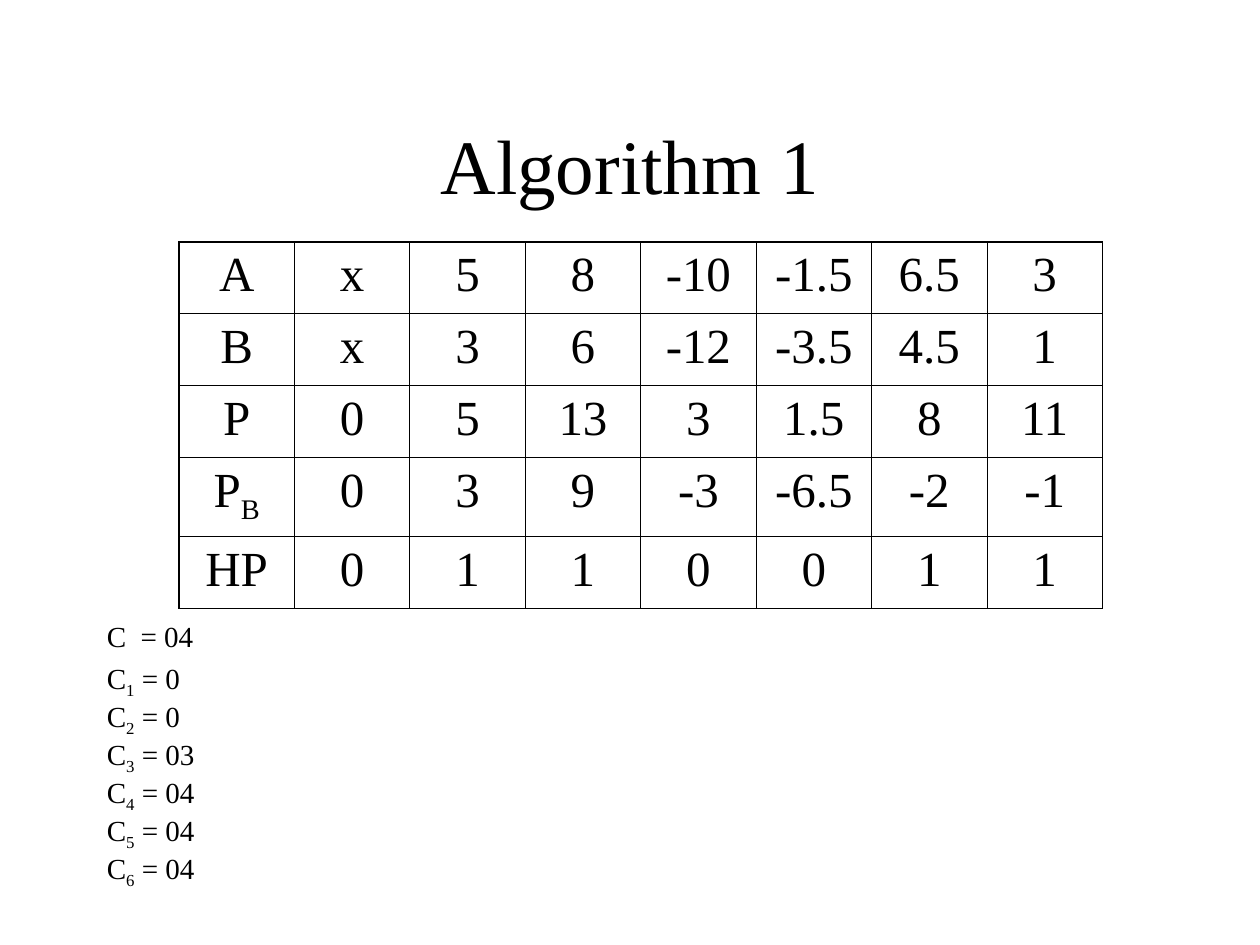
from lxml import etree
from pptx import Presentation
from pptx.dml.color import RGBColor
from pptx.enum.text import MSO_ANCHOR, PP_ALIGN
from pptx.oxml.ns import qn
from pptx.util import Inches, Pt

LEFT, CENTER = PP_ALIGN.LEFT, PP_ALIGN.CENTER
TOP, MIDDLE = MSO_ANCHOR.TOP, MSO_ANCHOR.MIDDLE
FONT, BLACK = "Times New Roman", "000000"
THICK, THIN = 1.08, 0.45

ROWS = [
    ["A", "x", "5", "8", "-10", "-1.5", "6.5", "3"],
    ["B", "x", "3", "6", "-12", "-3.5", "4.5", "1"],
    ["P", "0", "5", "13", "3", "1.5", "8", "11"],
    ["P_B", "0", "3", "9", "-3", "-6.5", "-2", "-1"],
    ["HP", "0", "1", "1", "0", "0", "1", "1"],
]
HEIGHTS = [0.57, 0.57, 0.57, 0.63, 0.57]
COUNTS = ["C  = 04", "C_1 = 0", "C_2 = 0", "C_3 = 03",
          "C_4 = 04", "C_5 = 04", "C_6 = 04"]


def color(code):
    """Turn a hex string into a colour."""
    return RGBColor.from_string(code)


def write(para, text, size, align=LEFT, before=0, after=0, lines=1.0):
    """Write text into a paragraph, lowering each letter that follows "_"."""
    para.alignment, para.line_spacing = align, lines
    para.space_before, para.space_after = Pt(before), Pt(after)
    head, *tails = text.split("_")
    parts = [(head, False)]
    for tail in tails:
        parts += [(tail[0], True), (tail[1:], False)]
    for part, low in parts:
        if part:
            run = para.add_run()
            run.text = part
            run.font.name, run.font.size = FONT, Pt(size)
            run.font.color.rgb = color(BLACK)
            if low:
                run.font._element.set("baseline", "-25000")


def add_frame(slide, box, anchor=TOP):
    """Add a wrapping text box and return its frame."""
    frame = slide.shapes.add_textbox(*map(Inches, box)).text_frame
    frame.word_wrap, frame.vertical_anchor = True, anchor
    return frame


def add_title(slide, box):
    """Place the centred title."""
    frame = add_frame(slide, box, MIDDLE)
    write(frame.paragraphs[0], "Algorithm 1", size=44, align=CENTER)


def add_counts(slide, box):
    """Place the list of counter values."""
    frame = add_frame(slide, box)
    for i, text in enumerate(COUNTS):
        para = frame.add_paragraph() if i else frame.paragraphs[0]
        write(para, text, size=16.6, lines=0.76,
              before=4.5 if i else 0, after=0 if i else 2.6)


def add_edge(cell, side, width):
    """Draw one side of a cell."""
    props = cell._tc.get_or_add_tcPr()
    line = etree.SubElement(props, qn(f"a:ln{side}"), w=str(Pt(width)))
    fill = etree.SubElement(line, qn("a:solidFill"))
    etree.SubElement(fill, qn("a:srgbClr"), val=BLACK)


def add_grid(slide, box):
    """Place the table of values with a thicker outer edge."""
    last_row, last_col = len(ROWS) - 1, len(ROWS[0]) - 1
    table = slide.shapes.add_table(
        last_row + 1, last_col + 1, *map(Inches, box)).table
    table.first_row = table.horz_banding = False
    for col in table.columns:
        col.width = Inches(box[2] / (last_col + 1))
    for r, values in enumerate(ROWS):
        table.rows[r].height = Inches(HEIGHTS[r])
        for c, text in enumerate(values):
            cell = table.cell(r, c)
            write(cell.text_frame.paragraphs[0], text, size=28, align=CENTER)
            outer = {"L": c == 0, "R": c == last_col,
                     "T": r == 0, "B": r == last_row}
            for side, thick in outer.items():
                add_edge(cell, side, THICK if thick else THIN)
            cell.fill.background()


def main():
    """Build the slide and save it."""
    deck = Presentation()
    deck.slide_width, deck.slide_height = Inches(10), Inches(7.5)
    slide = deck.slides.add_slide(deck.slide_layouts[6])
    add_title(slide, (0.75, 0.67, 8.5, 1.25))
    add_counts(slide, (0.75, 4.92, 8.5, 2.17))
    add_grid(slide, (1.42, 1.92, 7.33, 2.92))
    deck.save("out.pptx")


if __name__ == "__main__":
    main()
